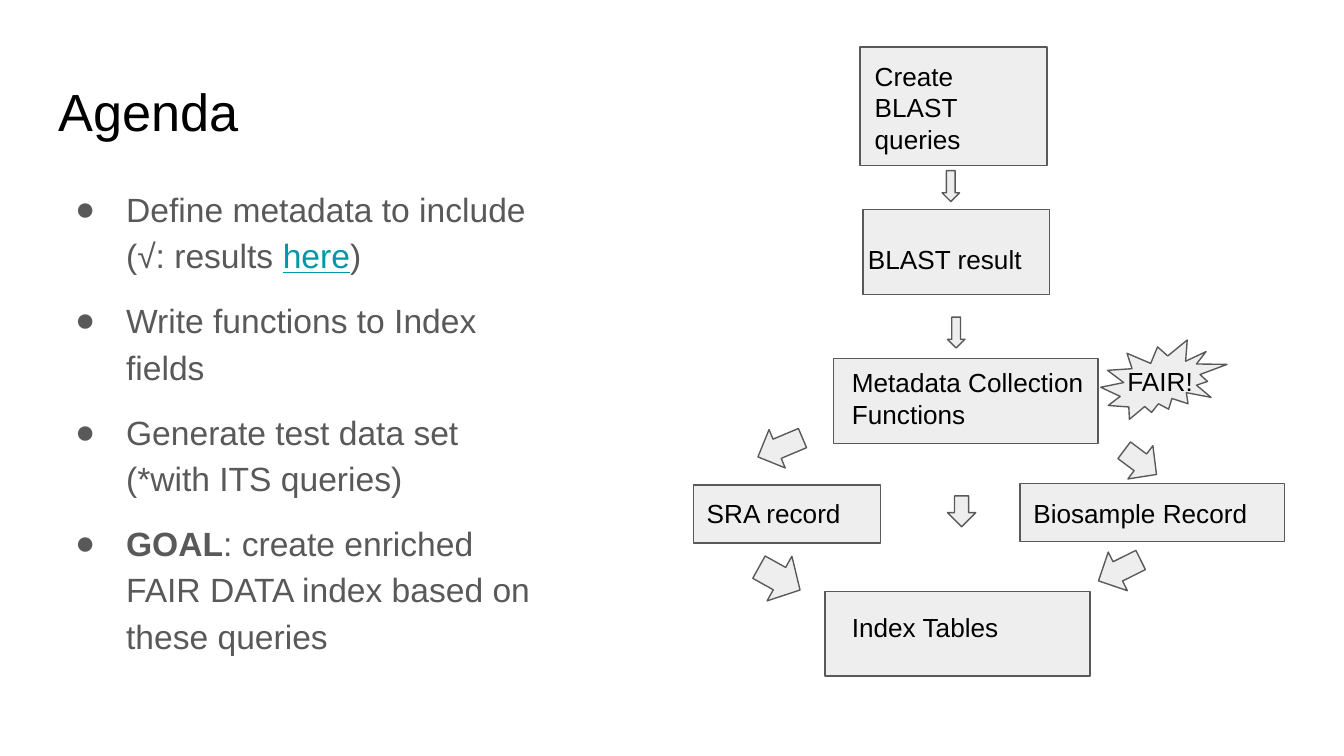
from lxml import etree
from pptx import Presentation
from pptx.dml.color import RGBColor
from pptx.enum.shapes import MSO_SHAPE
from pptx.oxml.ns import qn
from pptx.util import Inches, Pt

BLACK = RGBColor(0x00, 0x00, 0x00)
GRAY = RGBColor(0x59, 0x59, 0x59)
LIGHT = RGBColor(0xEE, 0xEE, 0xEE)
TEAL = RGBColor(0x00, 0x97, 0xA7)
FONT = "Arial"
RECT = MSO_SHAPE.RECTANGLE
DOWN_ARROW = MSO_SHAPE.DOWN_ARROW
BURST = MSO_SHAPE.EXPLOSION2

# Each agenda item is a list of (text, style) runs
AGENDA = [
    [("Define metadata to include (√: results ", None), ("here", "link"), (")", None)],
    [("Write functions to Index fields", None)],
    [("Generate test data set (*with ITS queries)", None)],
    [("GOAL", "bold"), (": create enriched FAIR DATA index based on these queries", None)],
]

# Flowchart steps: label, shape box, label box (relative to the chart)
STEPS = [
    ("Create BLAST queries", (1.24, 0, 1.39, 0.88), (1.25, 0, 1.39, 0.88)),
    ("BLAST result", (1.26, 1.21, 1.39, 0.63), (1.2, 1.36, 1.47, 0.82)),
    ("Metadata Collection Functions", (1.04, 2.32, 1.97, 0.63), (1.08, 2.28, 2.13, 0.83)),
    ("SRA record", (0, 3.26, 1.39, 0.43), (0, 3.25, 1.39, 0.83)),
    ("Biosample Record", (2.43, 3.25, 1.97, 0.43), (2.43, 3.25, 1.85, 0.83)),
    ("Index Tables", (0.98, 4.05, 1.97, 0.63), (1.08, 4.1, 2.13, 0.83)),
]

# Arrows between steps: box relative to the chart, rotation
ARROWS = [
    ((1.85, 0.92, 0.13, 0.23), 0),
    ((1.89, 2.01, 0.13, 0.23), 0),
    ((1.89, 3.34, 0.21, 0.23), 0),
    ((0.49, 2.8, 0.31, 0.36), 67.1),
    ((3.17, 2.94, 0.31, 0.3), 306.9),
    ((3.01, 3.72, 0.32, 0.35), 63.7),
    ((0.45, 3.78, 0.38, 0.35), 299.1),
]


def add_text_frame(slide, box):
    frame = slide.shapes.add_textbox(*map(Inches, box)).text_frame
    frame.word_wrap = True
    frame.margin_left = frame.margin_right = Inches(0.1)
    frame.margin_top = frame.margin_bottom = Inches(0.1)
    return frame


def style_font(paragraph, size, color):
    paragraph.font.name = FONT
    paragraph.font.size = Pt(size)
    paragraph.font.color.rgb = color


def add_label(slide, box, text, size=14):
    paragraph = add_text_frame(slide, box).paragraphs[0]
    paragraph.text = text
    style_font(paragraph, size, BLACK)


def add_bullet(paragraph):
    properties = paragraph._p.get_or_add_pPr()
    properties.set("marL", str(Inches(0.5)))
    properties.set("indent", str(Inches(-0.38)))
    bullet_color = etree.SubElement(properties, qn("a:buClr"))
    etree.SubElement(bullet_color, qn("a:srgbClr"), val=str(GRAY))
    etree.SubElement(properties, qn("a:buFont"), typeface=FONT)
    etree.SubElement(properties, qn("a:buChar"), char="●")


def add_agenda(slide, box):
    frame = add_text_frame(slide, box)
    for index, item in enumerate(AGENDA):
        paragraph = frame.add_paragraph() if index else frame.paragraphs[0]
        paragraph.line_spacing = 1.15
        paragraph.space_before = Pt(10 if index else 0)
        add_bullet(paragraph)
        style_font(paragraph, 18, GRAY)
        for text, style in item:
            run = paragraph.add_run()
            run.text = text
            if style == "bold":
                run.font.bold = True
            elif style == "link":
                run.font.underline = True
                run.font.color.rgb = TEAL
    paragraph.space_after = Pt(10)


def add_flat_shape(slide, kind, box, rotation=0):
    shape = slide.shapes.add_shape(kind, *map(Inches, box))
    shape.rotation = rotation
    shape.shadow.inherit = False
    shape.fill.solid()
    shape.fill.fore_color.rgb = LIGHT
    shape.line.color.rgb = GRAY
    shape.line.width = Pt(0.75)


def add_flowchart(slide, left, top):
    def place(box):
        x, y, width, height = box
        return left + x, top + y, width, height

    # Steps
    for label, step_box, label_box in STEPS:
        add_flat_shape(slide, RECT, place(step_box))
        add_label(slide, place(label_box), label)
    # Arrows
    for arrow_box, rotation in ARROWS:
        add_flat_shape(slide, DOWN_ARROW, place(arrow_box), rotation)
    # Callout
    add_flat_shape(slide, BURST, place((3.03, 2.18, 0.94, 0.59)))
    add_label(slide, place((3.13, 2.27, 0.74, 0.23)), "FAIR!")


def main():
    presentation = Presentation()
    # 16:9 page
    presentation.slide_width = Inches(10)
    presentation.slide_height = Inches(10 * 9 / 16)
    slide = presentation.slides.add_slide(presentation.slide_layouts[6])
    add_label(slide, (0.34, 0.49, 9.32, 0.63), "Agenda", size=28)
    add_agenda(slide, (0.34, 1.26, 3.79, 3.74))
    add_flowchart(slide, 5.16, 0.35)
    presentation.save("out.pptx")


if __name__ == "__main__":
    main()
